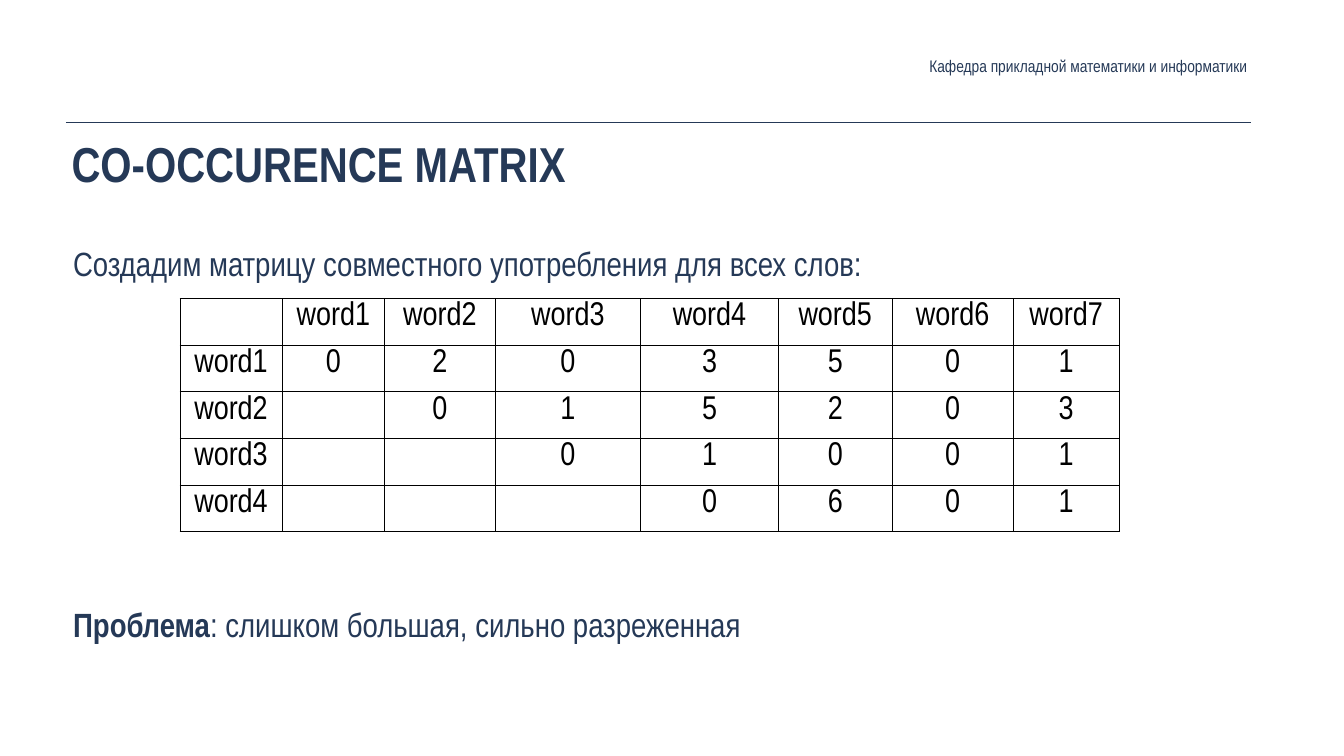
from lxml import etree
from pptx import Presentation, util as u
from pptx.dml.color import RGBColor
from pptx.enum import shapes, text
from pptx.oxml import ns

NAVY = RGBColor(0x25, 0x39, 0x57)
BLACK = RGBColor(0, 0, 0)
FONT = "Arial Narrow"
WIDTH, HEIGHT = u.Inches(26.67), u.Inches(15)
SIDES = ("left", "right", "top", "bottom")
WORDS = [f"word{n}" for n in range(1, 8)]
COUNTS = [
    [0, 2, 0, 3, 5, 0, 1],
    ["", 0, 1, 5, 2, 0, 3],
    ["", "", 0, 1, 0, 0, 1],
    ["", "", "", 0, 6, 0, 1],
]
COLUMN_SHARES = [7.61, 7.61, 8.25, 10.8, 10.27, 8.44, 9.04, 7.84]


def region(left, top, width, height):
    return (int(WIDTH * left / 100), int(HEIGHT * top / 100),
            int(WIDTH * width / 100), int(HEIGHT * height / 100))


def set_values(target, values):
    for name, value in values.items():
        setattr(target, name, value)


def add_run(p, content, size, color=NAVY, bold=False):
    r = p.add_run()
    r.text = content
    set_values(r.font, {"name": FONT, "size": u.Pt(size), "bold": bold})
    r.font.color.rgb = color


def add_text(s, box, anchor=text.MSO_ANCHOR.TOP):
    tf = s.shapes.add_textbox(*box).text_frame
    set_values(tf, {"word_wrap": True, "vertical_anchor": anchor})
    set_values(tf, {f"margin_{side}": u.Inches(0.08) for side in SIDES})
    return tf


def add_rule(s, box):
    left, top, width, height = box
    rule = s.shapes.add_connector(shapes.MSO_CONNECTOR.STRAIGHT,
                                  left, top, left + width, top + height)
    rule.line.color.rgb = NAVY
    rule.line.width = u.Pt(1)
    etree.SubElement(rule._element.spPr, ns.qn("a:effectLst"))


def add_department(s, box):
    p = add_text(s, box, text.MSO_ANCHOR.MIDDLE).paragraphs[0]
    p.alignment = text.PP_ALIGN.RIGHT
    add_run(p, "Кафедра прикладной математики и информатики", 24)


def add_title(s, box):
    add_run(add_text(s, box).paragraphs[0], "CO-OCCURENCE MATRIX", 70, bold=True)


def add_body(s, box):
    tf = add_text(s, box)
    add_run(tf.paragraphs[0],
            "Создадим матрицу совместного употребления для всех слов:", 48)
    p = tf.add_paragraph()
    p.space_before = u.Pt(458)
    add_run(p, "Проблема", 48, bold=True)
    add_run(p, ": слишком большая, сильно разреженная", 48)


def add_borders(cell):
    tc_pr = cell._tc.get_or_add_tcPr()
    for edge in "LRTB":
        line = etree.SubElement(tc_pr, ns.qn(f"a:ln{edge}"), w=str(u.Pt(1)))
        fill = etree.SubElement(line, ns.qn("a:solidFill"))
        etree.SubElement(fill, ns.qn("a:srgbClr"), val=str(BLACK))


def add_matrix(s, box):
    rows = [["", *WORDS]] + [[w, *counts] for w, counts in zip(WORDS, COUNTS)]
    table = s.shapes.add_table(len(rows), len(COLUMN_SHARES), *box).table
    set_values(table, {"first_row": False, "horz_banding": False})
    for column, share in zip(table.columns, COLUMN_SHARES):
        column.width = int(WIDTH * share / 100)
    for i, row in enumerate(rows):
        for j, value in enumerate(row):
            cell = table.cell(i, j)
            add_borders(cell)
            cell.fill.background()
            set_values(cell, {"margin_left": u.Inches(0.14),
                              "margin_right": u.Inches(0.14),
                              "margin_top": u.Inches(0.07),
                              "margin_bottom": u.Inches(0.07)})
            p = cell.text_frame.paragraphs[0]
            p.alignment = text.PP_ALIGN.CENTER
            if value != "":
                add_run(p, str(value), 47, BLACK)


def main():
    prs = Presentation()
    set_values(prs, {"slide_width": WIDTH, "slide_height": HEIGHT})
    s = prs.slides.add_slide(prs.slide_layouts[6])
    add_rule(s, region(4.91, 16.13, 88.19, 0))
    add_title(s, region(5.02, 17.07, 65.92, 11))
    add_department(s, region(46.49, 6.87, 46.61, 3.73))
    add_body(s, region(5.14, 31.6, 88.19, 35.33))
    add_matrix(s, region(13.39, 39.47, 69.86, 30.87))
    prs.save("out.pptx")


if __name__ == "__main__":
    main()
